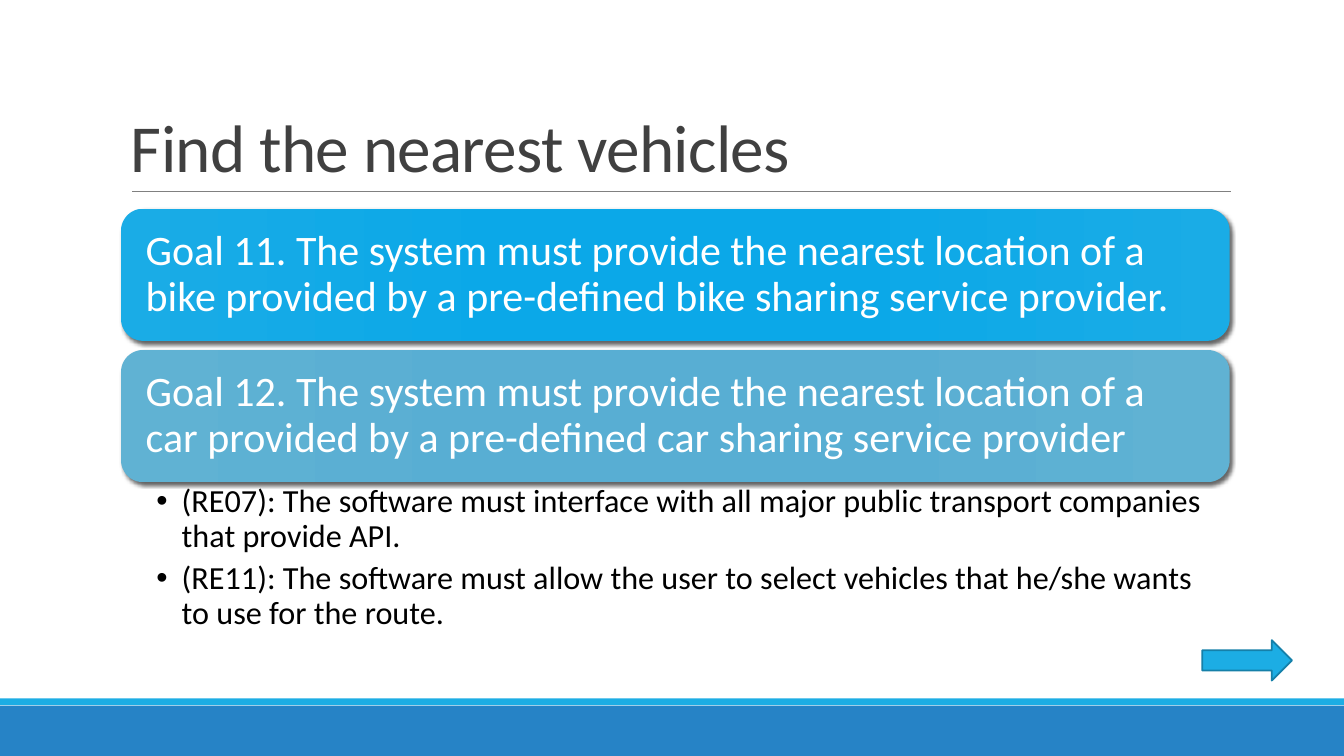
from lxml import etree
from pptx import Presentation
from pptx.dml.color import RGBColor
from pptx.enum.shapes import MSO_CONNECTOR, MSO_SHAPE
from pptx.enum.text import MSO_ANCHOR, MSO_AUTO_SIZE, PP_ALIGN
from pptx.oxml import parse_xml
from pptx.oxml.ns import nsdecls, qn
from pptx.util import Cm, Pt

RECT, CARD, ARROW = MSO_SHAPE.RECTANGLE, MSO_SHAPE.ROUNDED_RECTANGLE, MSO_SHAPE.RIGHT_ARROW
STRAIGHT = MSO_CONNECTOR.STRAIGHT
TOP, MIDDLE, BOTTOM = MSO_ANCHOR.TOP, MSO_ANCHOR.MIDDLE, MSO_ANCHOR.BOTTOM
LEFT = PP_ALIGN.LEFT
NO_FIT = MSO_AUTO_SIZE.NONE

WHITE = RGBColor(0xFF, 0xFF, 0xFF)
BLACK = RGBColor(0x00, 0x00, 0x00)
TITLE_GREY = RGBColor(0x40, 0x40, 0x40)
RULE_GREY = RGBColor(0x80, 0x80, 0x80)
FOOTER_BLUE = RGBColor(0x26, 0x83, 0xC6)
ACCENT_BLUE = RGBColor(0x1C, 0xAD, 0xE4)
ARROW_EDGE = RGBColor(0x15, 0x80, 0xA9)
BRIGHT_EDGE = RGBColor(0x1A, 0xAC, 0xE6)
BRIGHT_CENTRE = RGBColor(0x0B, 0xA8, 0xE8)
MUTED_EDGE = RGBColor(0x60, 0xB2, 0xD3)
MUTED_CENTRE = RGBColor(0x58, 0xAE, 0xD3)

SLIDE_WIDTH, SLIDE_HEIGHT = 33.87, 19.05
MARGIN, CONTENT_WIDTH = 3.05, 27.94
CARD_TOP, CARD_HEIGHT, CARD_STEP = 5.26, 3.33, 3.56


class SlideBuilder:
    font = "Calibri"

    def __init__(self, slide):
        self.slide = slide

    def frame(self, shape, anchor, insets):
        text = shape.text_frame
        text.word_wrap = True
        text.auto_size = NO_FIT
        text.vertical_anchor = anchor
        text.margin_left, text.margin_top, text.margin_right, text.margin_bottom = map(Cm, insets)
        return text

    def add_text(self, paragraph, wording, size, color, spacing=0.9, after=0):
        paragraph.alignment = LEFT
        paragraph.line_spacing = spacing
        paragraph.space_before = Pt(0)
        paragraph.space_after = Pt(after)
        run = paragraph.add_run()
        run.text = wording
        run.font.name = self.font
        run.font.size = Pt(size)
        run.font.color.rgb = color
        return run

    def place(self, shape, left, top, width, height):
        shape.left, shape.top, shape.width, shape.height = map(Cm, (left, top, width, height))

    def title(self, wording, *box):
        heading = self.slide.shapes.title
        self.place(heading, *box)
        text = self.frame(heading, BOTTOM, (0.25, 0.13, 0.25, 0.13))
        run = self.add_text(text.paragraphs[0], wording, 48, TITLE_GREY, 0.85)
        run._r.get_or_add_rPr().set("spc", "-50")

    def bullets(self, items, *box):
        body = self.slide.placeholders[1]
        self.place(body, *box)
        text = self.frame(body, TOP, (0.89, 0.1, 0.58, 0.1))
        for index, item in enumerate(items):
            paragraph = text.add_paragraph() if index else text.paragraphs[0]
            self.add_text(paragraph, item, 23, BLACK, after=5.5)
            properties = paragraph._p.get_or_add_pPr()
            properties.set("marL", str(Cm(0.64)))
            properties.set("indent", str(-Cm(0.64)))
            etree.SubElement(properties, qn("a:buChar")).set("char", "•")

    def shape(self, kind, box, fill, line=None):
        shape = self.slide.shapes.add_shape(kind, *map(Cm, box))
        shape.shadow.inherit = False
        shape.fill.solid()
        shape.fill.fore_color.rgb = fill
        if line is None:
            shape.line.fill.background()
        else:
            shape.line.color.rgb = line
            shape.line.width = Pt(1.25)
        return shape

    def goal(self, wording, top, edge, centre):
        card = self.shape(CARD, (MARGIN, top, CONTENT_WIDTH, CARD_HEIGHT), centre)
        properties = card._element.spPr
        stops = "".join(
            f'<a:gs pos="{position}"><a:srgbClr val="{color}"/></a:gs>'
            for position, color in ((0, edge), (35000, centre), (65000, centre), (100000, edge))
        )
        properties.replace(properties.find(qn("a:solidFill")), parse_xml(
            f'<a:gradFill {nsdecls("a")}><a:gsLst>{stops}</a:gsLst><a:lin ang="0"/></a:gradFill>'))
        # Soft shadow towards the lower right
        properties.find(qn("a:effectLst")).append(parse_xml(
            f'<a:outerShdw {nsdecls("a")} blurRad="{Pt(3)}" dist="{Pt(2)}" dir="2700000">'
            '<a:srgbClr val="000000"><a:alpha val="60000"/></a:srgbClr></a:outerShdw>'))
        text = self.frame(card, MIDDLE, (0.46, 0.46, 0.46, 0.46))
        self.add_text(text.paragraphs[0], wording, 30, WHITE)

    def rule(self, left, right, y):
        line = self.slide.shapes.add_connector(STRAIGHT, Cm(left), Cm(y), Cm(right), Cm(y))
        line.line.color.rgb = RULE_GREY
        line.line.width = Pt(0.5)
        etree.SubElement(line._element.spPr, qn("a:effectLst"))


def main():
    deck = Presentation()
    deck.slide_width, deck.slide_height = Cm(SLIDE_WIDTH), Cm(SLIDE_HEIGHT)
    page = SlideBuilder(deck.slides.add_slide(deck.slide_layouts[1]))

    # Footer bands
    page.shape(RECT, (0, 17.78, SLIDE_WIDTH, 1.27), FOOTER_BLUE)
    page.shape(RECT, (0, 17.6, SLIDE_WIDTH, 0.17), ACCENT_BLUE)

    # Heading
    page.title("Find the nearest vehicles", MARGIN, 0.79, CONTENT_WIDTH, 4.04)
    page.rule(3.33, 31.01, 4.83)

    # Goals
    goals = (
        ("Goal 11. The system must provide the nearest location of a bike provided by "
         "a pre-defined bike sharing service provider.", BRIGHT_EDGE, BRIGHT_CENTRE),
        ("Goal 12. The system must provide the nearest location of a car provided by "
         "a pre-defined car sharing service provider", MUTED_EDGE, MUTED_CENTRE),
    )
    for index, (wording, edge, centre) in enumerate(goals):
        page.goal(wording, CARD_TOP + index * CARD_STEP, edge, centre)

    # Requirements
    page.bullets((
        "(RE07): The software must interface with all major public transport companies "
        "that provide API.",
        "(RE11): The software must allow the user to select vehicles that he/she wants "
        "to use for the route.",
    ), MARGIN, 12.12, CONTENT_WIDTH, 4.06)

    # Onward arrow
    page.shape(ARROW, (30.3, 16.13, 2.26, 1.02), ACCENT_BLUE, ARROW_EDGE)

    deck.save("out.pptx")


if __name__ == "__main__":
    main()
